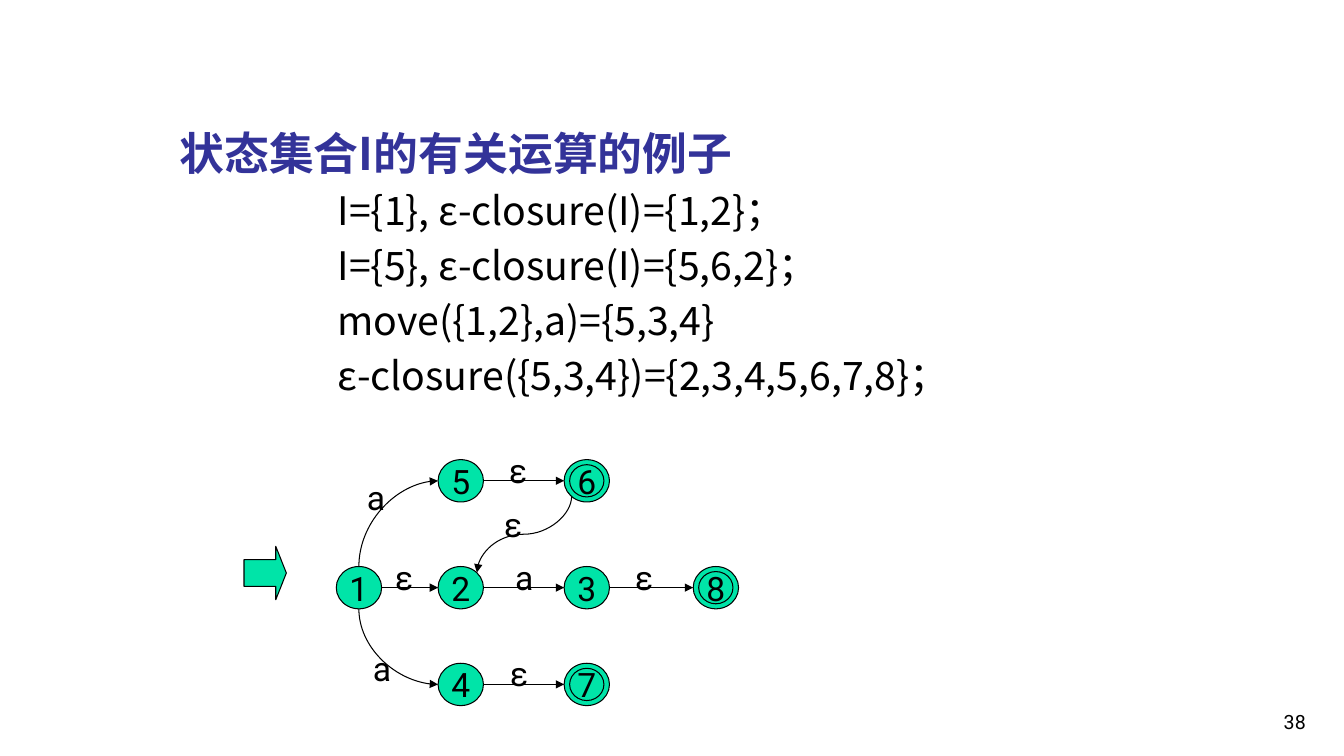
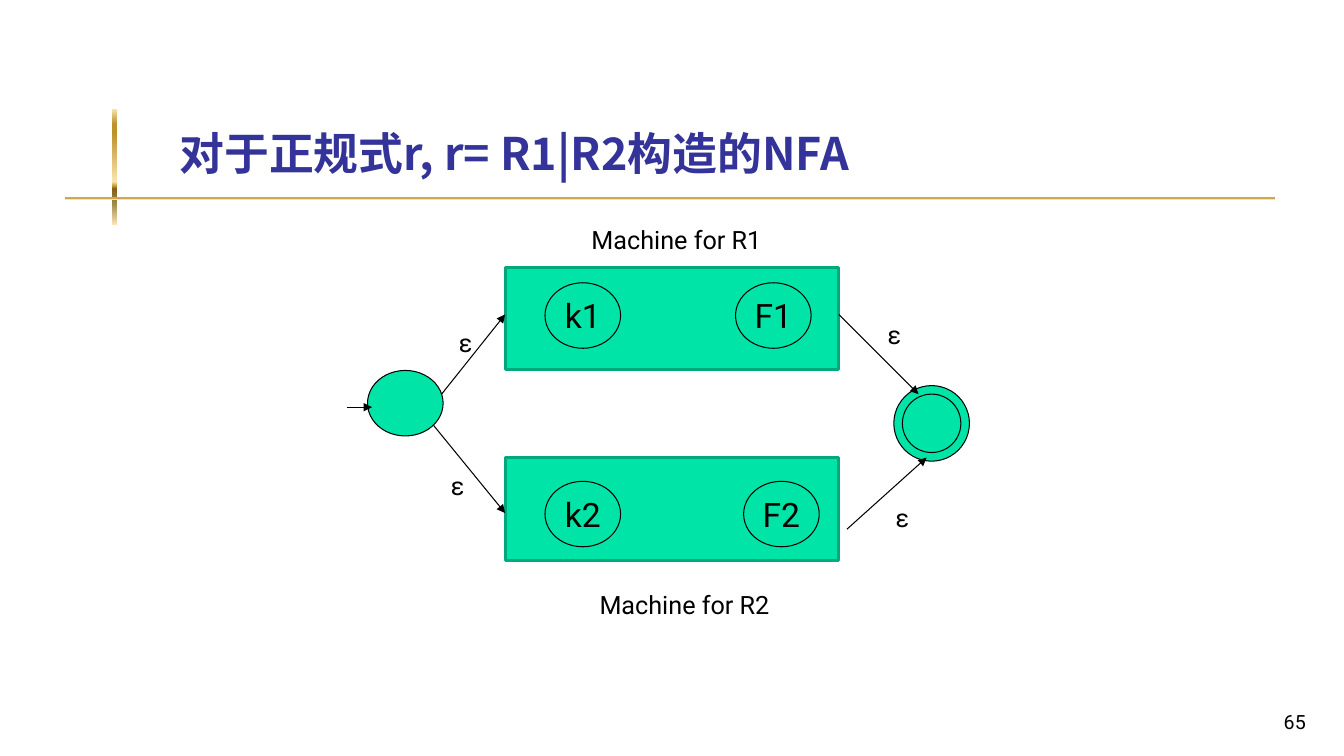
import lxml.etree
import pptx
import pptx.dml.color
import pptx.enum.shapes
import pptx.enum.text
import pptx.oxml.ns
import pptx.util

Inches, Pt = pptx.util.Inches, pptx.util.Pt
SHAPE = pptx.enum.shapes.MSO_SHAPE
CONNECTOR = pptx.enum.shapes.MSO_CONNECTOR
ALIGN = pptx.enum.text.PP_ALIGN
ANCHOR = pptx.enum.text.MSO_ANCHOR
qn = pptx.oxml.ns.qn

TITLE_FONT, FONT = "Noto Sans CJK JP", "Roboto"
BLACK, NAVY, GREEN, DARK_GREEN = "000000", "333399", "00E4A8", "00A97C"
GOLD = [(0, "FBE4AE"), (13, "BD922A"), (21, "BD922A"), (63, "FBE4AE"),
        (67, "BD922A"), (69, "835E17"), (82, "A28949"), (100, "FAE3B7")]


def rgb(value):
    return pptx.dml.color.RGBColor.from_string(value)


def put_text(sp, text, size=24, font=FONT, color=BLACK, bold=False,
             align=ALIGN.CENTER, anchor=ANCHOR.MIDDLE, wrap=False, gap=0):
    """Write each line of text as a paragraph of the shape."""
    tf = sp.text_frame
    tf.word_wrap = wrap
    tf.auto_size = pptx.enum.text.MSO_AUTO_SIZE.NONE
    tf.vertical_anchor = anchor
    for i, line in enumerate(text.split("\n")):
        p = tf.add_paragraph() if i else tf.paragraphs[0]
        p.alignment = align
        p.space_before = Pt(gap if i else 0)
        r = p.add_run()
        r.text = line
        r.font.size, r.font.bold, r.font.name = Pt(size), bold, font
        r.font.color.rgb = rgb(color)
        latin = r.font._element.find(qn("a:latin"))
        ea = lxml.etree.Element(qn("a:ea"), typeface=font)
        latin.addnext(ea)


class Deck:
    """The presentation, its style and the slide being drawn."""

    def __init__(self):
        self.prs = pptx.Presentation()
        self.prs.slide_width, self.prs.slide_height = Inches(13.33), Inches(7.5)
        self.s = None

    def slide(self, title, number):
        self.s = self.prs.slides.add_slide(self.prs.slide_layouts[5])
        sp = self.s.shapes.title
        sp.left, sp.top, sp.width, sp.height = map(Inches, (1.68, 0.23, 11.36, 1.6))
        put_text(sp, title, size=32, font=TITLE_FONT, color=NAVY, bold=True,
                 align=ALIGN.LEFT, anchor=ANCHOR.BOTTOM, wrap=True)
        self.text(10.27, 6.83, 2.78, 0.5, number, size=14, align=ALIGN.RIGHT,
                  anchor=ANCHOR.BOTTOM, wrap=True)

    def text(self, x, y, w, h, text, **fmt):
        put_text(self.s.shapes.add_textbox(*map(Inches, (x, y, w, h))), text, **fmt)

    def label(self, cx, cy, text, w=0.4, **fmt):
        self.text(cx - w / 2, cy - 0.25, w, 0.5, text, **fmt)

    def shape(self, kind, x, y, w, h, line=BLACK, width=0.75):
        sp = self.s.shapes.add_shape(kind, *map(Inches, (x, y, w, h)))
        sp.shadow.inherit = False
        sp.fill.solid()
        sp.fill.fore_color.rgb = rgb(GREEN)
        sp.line.color.rgb = rgb(line)
        sp.line.width = Pt(width)
        return sp

    def gold_bar(self, x, y, w, h):
        sp = self.shape(SHAPE.RECTANGLE, x, y, w, h)
        sp.line.fill.background()
        sp.fill.gradient()
        sp.fill.gradient_angle = 270
        stops = sp._element.spPr.find(".//" + qn("a:gsLst"))
        stops.clear()
        for pos, color in GOLD:
            gs = lxml.etree.SubElement(stops, qn("a:gs"), pos=str(pos * 1000))
            lxml.etree.SubElement(gs, qn("a:srgbClr"), val=color)

    def state(self, cx, cy, w, h, text="", inner=None):
        """Circle about a centre; inner is the size of a second ring."""
        for rw, rh in filter(None, [(w, h), inner]):
            sp = self.shape(SHAPE.OVAL, cx - rw / 2, cy - rh / 2, rw, rh)
        if text:
            put_text(sp, text)

    def arrow(self, x1, y1, x2, y2, kind=CONNECTOR.STRAIGHT):
        cn = self.s.shapes.add_connector(kind, *map(Inches, (x1, y1, x2, y2)))
        cn.line.color.rgb = rgb(BLACK)
        cn.line.width = Pt(0.75)
        lxml.etree.SubElement(cn.line._get_or_add_ln(), qn("a:tailEnd"), type="triangle")
        lxml.etree.SubElement(cn._element.spPr, qn("a:effectLst"))
        return cn

    def curve(self, x1, y1, x2, y2, preset="curvedConnector2"):
        """Curved arrow that leaves vertically: a connector turned a quarter."""
        cx, cy = (x1 + x2) / 2, (y1 + y2) / 2
        w, h = abs(y2 - y1), abs(x2 - x1)
        cn = self.arrow(cx - w / 2, cy - h / 2, cx + w / 2, cy + h / 2, CONNECTOR.CURVE)
        xfrm = cn._element.spPr.find(qn("a:xfrm"))
        xfrm.set("rot", str((90 if x2 < x1 else 270) * 60000))
        if x2 > x1 and y2 > y1:
            xfrm.set("flipH", "1")
        cn._element.spPr.find(qn("a:prstGeom")).set("prst", preset)


def closure_slide(d):
    d.slide("状态集合I的有关运算的例子", "38")
    d.text(3.25, 1.8, 8, 2.4,
           "I={1}, ε-closure(I)={1,2}；\nI={5}, ε-closure(I)={5,6,2}；\n"
           "move({1,2},a)={5,3,4}\nε-closure({5,3,4})={2,3,4,5,6,7,8}；",
           size=28, font=TITLE_FONT, align=ALIGN.LEFT, anchor=ANCHOR.TOP,
           wrap=True, gap=5.6)

    # States on a grid of columns and rows
    w, h = 0.45, 0.42
    c1, c2, c3, c4 = 3.56, 4.57, 5.82, 7.1
    top, mid, low = 4.77, 5.83, 6.79
    for name, cx, cy in [("1", c1, mid), ("2", c2, mid), ("5", c2, top),
                         ("3", c3, mid), ("4", c2, low)]:
        d.state(cx, cy, w, h, name)
    for name, cx, cy in [("6", c3, top), ("8", c4, mid), ("7", c3, low)]:
        d.state(cx, cy, w, h, name, inner=(0.34, 0.32))

    # Transitions
    for a, b, y in [(c2, c3, low), (c2, c3, mid), (c2, c3, top),
                    (c1, c2, mid), (c3, c4, mid)]:
        d.arrow(a + w / 2, y, b - w / 2, y)
    d.curve(5.67, 4.92, 4.73, 5.68, "curvedConnector3")
    d.curve(c1, mid - h / 2, c2 - w / 2, top)
    d.curve(c1, mid + h / 2, c2 - w / 2, low)
    for text, cx, cy in [("a", 3.73, 4.93), ("a", 3.79, 6.63), ("ε", 4.01, 5.73),
                         ("ε", 5.09, 5.2), ("ε", 5.14, 4.66), ("ε", 6.39, 5.73),
                         ("ε", 5.15, 6.68), ("a", 5.2, 5.73)]:
        d.label(cx, cy, text)

    # Start marker
    d.shape(SHAPE.RIGHT_ARROW, 2.42, 5.42, 0.42, 0.53).adjustments[1] = 0.25


def union_slide(d):
    d.slide("对于正规式r, r= R1|R2构造的NFA", "65")
    d.gold_bar(1.11, 1.08, 0.05, 1.15)
    d.gold_bar(0.65, 1.95, 12, 0.03)

    # Machines with their first and last states
    w, h = 0.75, 0.65
    for n, box_y, cy, last_x, name_x, name_y in [
            ("1", 2.65, 3.13, 7.67, 6.71, 2.38), ("2", 4.54, 5.1, 7.75, 6.79, 6)]:
        d.shape(SHAPE.RECTANGLE, 5.01, box_y, 3.31, 1.02, DARK_GREEN, 2)
        d.state(5.78, cy, w, h, "k" + n)
        d.state(last_x, cy, w, h, "F" + n)
        d.label(name_x, name_y, "Machine for R" + n, w=2.76, size=18)

    # Start and accepting states
    d.state(9.24, 4.2, 0.75, 0.75, inner=(0.58, 0.58))
    d.state(4.02, 4, w, h)

    # Transitions
    for ends in [(3.44, 4.04, 3.69, 4.04), (4.3, 4.22, 5.01, 5.09),
                 (8.4, 5.25, 9.19, 4.54), (8.32, 3.12, 9.11, 3.91),
                 (4.38, 3.91, 5.01, 3.12)]:
        d.arrow(*ends)
    for cx, cy in [(4.62, 3.4), (4.54, 4.82), (8.95, 5.13), (8.87, 3.32)]:
        d.label(cx, cy, "ε", size=18)


def main():
    d = Deck()
    closure_slide(d)
    union_slide(d)
    d.prs.save("out.pptx")


if __name__ == "__main__":
    main()
